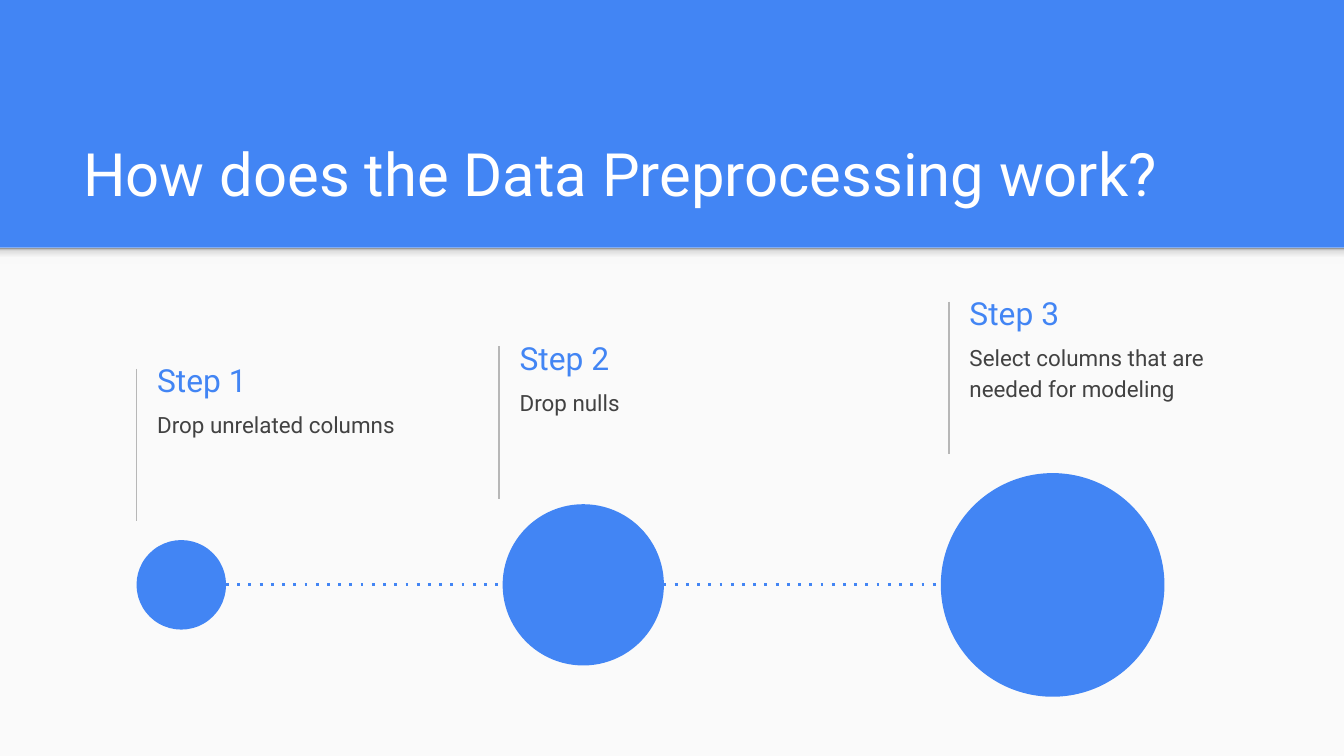
"""Build a slide of three data preprocessing steps on a growing dotted timeline."""
from dataclasses import dataclass

from lxml import etree
from pptx import Presentation, util as u
from pptx.dml.color import RGBColor
from pptx.enum import dml, shapes, text
from pptx.oxml import parse_xml
from pptx.oxml.ns import nsdecls, qn

BLUE = RGBColor(0x42, 0x85, 0xF4)
PALE = RGBColor(0xFA, 0xFA, 0xFA)
WHITE = RGBColor(0xFF, 0xFF, 0xFF)
GREY = RGBColor(0xB7, 0xB7, 0xB7)
DARK = RGBColor(0x42, 0x42, 0x42)
FADE = ((0, "F9F9F9"), (36, "F9F9F9"), (80, "DEDEDE"), (100, "999999"))
FONT = "Roboto"
COLS, ROWS = 100, 56.25
EDGE = 18.43
AXIS = 43.52
STEM = 11.35


@dataclass(frozen=True)
class Step:
    """A caption beside a stem, with a circle on the axis; lengths in grid cells."""
    head: str
    body: str
    stem: float
    top: float
    left: float
    size: float


STEPS = (
    Step("Step 1", "Drop unrelated columns", 10.16, 27.45, 10.16, 6.66),
    Step("Step 2", "Drop nulls", 37.13, 25.77, 37.4, 12),
    Step("Step 3", "Select columns that are needed for modeling", 70.6, 22.45, 70, 16.64),
)


def cell(n: float) -> u.Emu:
    """Turn grid cells into a length."""
    return u.Inches(n / 10)


def fill(slide, kind, x: float, y: float, w: float, h: float, tone: RGBColor):
    """Draw a plain filled shape."""
    form = slide.shapes.add_shape(kind, *map(cell, (x, y, w, h)))
    form.shadow.inherit = False
    form.fill.solid()
    form.fill.fore_color.rgb = tone
    form.line.fill.background()
    return form


def fade(form) -> None:
    """Replace the fill of a shape by the upward fade."""
    stops = "".join(
        f'<a:gs pos="{pos * 1000}"><a:srgbClr val="{tone}"/></a:gs>' for pos, tone in FADE)
    grad = parse_xml(
        f'<a:gradFill {nsdecls("a")}><a:gsLst>{stops}</a:gsLst>'
        '<a:lin ang="16200000" scaled="0"/></a:gradFill>')
    old = form._element.spPr.find(qn("a:solidFill"))
    old.getparent().replace(old, grad)


def rule(slide, x: float, y: float, x2: float, y2: float, tone: RGBColor, width: float):
    """Draw a straight line."""
    line = slide.shapes.add_connector(
        shapes.MSO_CONNECTOR.STRAIGHT, *map(cell, (x, y, x2, y2)))
    line.line.color.rgb = tone
    line.line.width = u.Pt(width)
    etree.SubElement(line._element.spPr, qn("a:effectLst"))
    return line


def write(box, words: str, size: float, tone: RGBColor, anchor) -> None:
    """Put one left-aligned paragraph in a box."""
    frame = box.text_frame
    frame.text = words
    frame.word_wrap = True
    frame.auto_size = text.MSO_AUTO_SIZE.NONE
    frame.vertical_anchor = anchor
    frame.margin_left = frame.margin_right = cell(1)
    frame.margin_top = frame.margin_bottom = cell(1)
    para = frame.paragraphs[0]
    para.alignment = text.PP_ALIGN.LEFT
    font = para.runs[0].font
    font.name, font.size = FONT, u.Pt(size)
    font.color.rgb = tone


def label(slide, step: Step) -> None:
    """Draw the stem and the caption of a step."""
    rule(slide, step.stem, step.top, step.stem, step.top + STEM, GREY, 0.75)
    x = step.stem + 0.55
    head = slide.shapes.add_textbox(*map(cell, (x, step.top - 1.33, 19.8, 4.3)))
    write(head, step.head, 17, BLUE, text.MSO_ANCHOR.MIDDLE)
    body = slide.shapes.add_textbox(*map(cell, (x, step.top + 1.86, 19.8, 6.3)))
    write(body, step.body, 12, DARK, text.MSO_ANCHOR.TOP)
    para = body.text_frame.paragraphs[0]
    para.line_spacing = 1.15
    para.space_after = u.Pt(16)


def main() -> None:
    """Build and save the slide."""
    deck = Presentation()
    deck.slide_width, deck.slide_height = cell(COLS), cell(ROWS)
    slide = deck.slides.add_slide(deck.slide_layouts[5])
    slide.background.fill.solid()
    slide.background.fill.fore_color.rgb = BLUE

    rect, oval = shapes.MSO_SHAPE.RECTANGLE, shapes.MSO_SHAPE.OVAL
    fill(slide, rect, 0, EDGE, COLS, ROWS - EDGE, PALE)
    fade(fill(slide, rect, 0, EDGE, COLS, 1.2, PALE))

    title = slide.shapes.title
    title.left, title.top, title.width, title.height = map(cell, (5.2, 8.1, 89.9, 8.4))
    write(title, "How does the Data Preprocessing work?", 32, WHITE, text.MSO_ANCHOR.BOTTOM)

    for step in STEPS:
        label(slide, step)

    first, last = STEPS[0], STEPS[-1]
    track = rule(slide, first.left + first.size, AXIS, last.left, AXIS, BLUE, 1.5)
    track.line.dash_style = dml.MSO_LINE.ROUND_DOT
    track._element.spPr.find(".//" + qn("a:prstDash")).set("val", "dot")
    for step in STEPS:
        fill(slide, oval, step.left, AXIS - step.size / 2, step.size, step.size, BLUE)

    deck.save("out.pptx")


if __name__ == "__main__":
    main()
